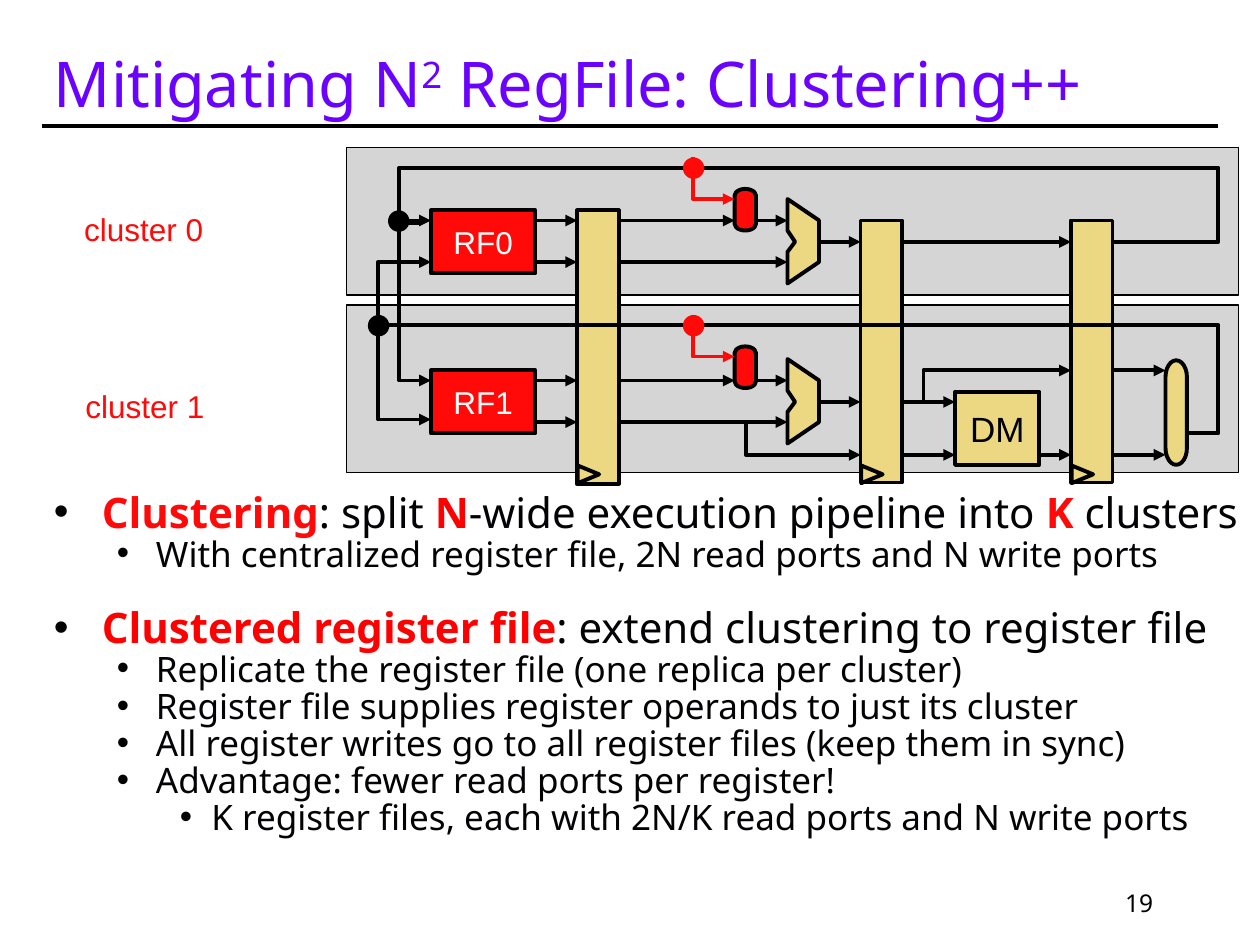
from pptx import Presentation
from pptx.util import Inches, Pt
from pptx.dml.color import RGBColor
from pptx.enum.shapes import MSO_SHAPE as Kind, MSO_CONNECTOR as Conn
from pptx.enum.text import PP_ALIGN as Align, MSO_ANCHOR as Anchor
from pptx.oxml.ns import qn
from lxml.etree import SubElement

deck = Presentation()
deck.slide_width, deck.slide_height = Inches(10), Inches(7.5)
slide = deck.slides.add_slide(deck.slide_layouts[6])
shapes = slide.shapes
BLACK, RED, TAN, GRAY = "000000", "FF0909", "ECD882", "D5D5D5"
INK, SANS = "030305", "Noto Sans"


def paint(shape, fill=None, line=BLACK, width=2.25, arrow=False):
    if hasattr(shape, "fill"):
        if fill:
            shape.fill.solid()
            shape.fill.fore_color.rgb = RGBColor.from_string(fill)
        else:
            shape.fill.background()
    if line:
        shape.line.color.rgb = RGBColor.from_string(line)
        shape.line.width = Pt(width)
    else:
        shape.line.fill.background()
    if arrow:
        SubElement(shape.line._get_or_add_ln(), qn("a:tailEnd"), type="triangle")
    SubElement(shape._element.spPr, qn("a:effectLst"))


def write(para, text, size=18, font="Arial", color=BLACK, bold=False, base=0, align=None):
    run = para.add_run()
    run.text = text
    run.font.size, run.font.name, run.font.bold = Pt(size), font, bold
    run.font.color.rgb = RGBColor.from_string(color)
    if base:
        run.font._element.set("baseline", str(base * 1000))
    if align is not None:
        para.alignment = align


rule = shapes.add_connector(Conn.STRAIGHT, Inches(0.33), Inches(1), Inches(9.67), Inches(1))
paint(rule)

texts = [
    (0.33, 0.25, 8.75, 0.75, Anchor.BOTTOM, True,
     [("Mitigating N", 0), ("2", 30), (" RegFile: Clustering++", 0)],
     dict(size=36, font=SANS, color="6B02FF")),
    (7.17, 7, 2.08, 0.33, Anchor.BOTTOM, True, [("19", 0)],
     dict(size=14, font=SANS, align=Align.RIGHT)),
    (0.57, 1.62, 1.24, 0.4, Anchor.TOP, False, [("cluster 0", 0)], dict(color=RED)),
    (0.58, 3.02, 1.24, 0.4, Anchor.TOP, False, [("cluster 1", 0)], dict(color=RED)),
]
for x, y, w, h, anchor, wrap, runs, style in texts:
    frame = shapes.add_textbox(Inches(x), Inches(y), Inches(w), Inches(h)).text_frame
    frame.word_wrap, frame.vertical_anchor = wrap, anchor
    for text, base in runs:
        write(frame.paragraphs[0], text, base=base, **style)

points = [
    (0, 2, [("Clustering", RED), (": split ", INK), ("N", "FF0000"),
            ("-wide execution pipeline into ", INK), ("K", RED), (" clusters", INK)]),
    (1, 2, [("With centralized register file, 2N read ports and N write ports", INK)]),
    (0, 21.5, [("Clustered register file", "FF0000"),
               (": extend clustering to register file", INK)]),
    (1, 2, [("Replicate the register file (one replica per cluster)", INK)]),
    (1, 2, [("Register file supplies register operands to just its cluster", INK)]),
    (1, 2, [("All register writes go to all register files (keep them in sync)", INK)]),
    (1, 2, [("Advantage: fewer read ports per register!", INK)]),
    (2, 2, [("K register files, each with 2N/K read ports and N write ports", INK)]),
]
dents = [(0.38, 0.38), (0.81, 0.31), (1.25, 0.25)]
body = shapes.add_textbox(Inches(0.33), Inches(3.89), Inches(9.67), Inches(3.08)).text_frame
body.word_wrap = True
for num, (level, gap, runs) in enumerate(points):
    para = body.add_paragraph() if num else body.paragraphs[0]
    para.level, para.line_spacing, para.space_before = level, 0.8, Pt(gap)
    left, hang = dents[level]
    props = para._p.get_or_add_pPr()
    props.set("marL", str(Inches(left)))
    props.set("indent", str(-Inches(hang)))
    tint = SubElement(props, qn("a:buClr"))
    SubElement(tint, qn("a:srgbClr"), val=INK)
    SubElement(props, qn("a:buFont"), typeface="Arial")
    SubElement(props, qn("a:buChar"), char="•")
    for text, color in runs:
        write(para, text, size=20 if level else 24, font=SANS, color=color, bold=color != INK)

rect, pill, tri = Kind.RECTANGLE, Kind.FLOWCHART_TERMINATOR, Kind.ISOSCELES_TRIANGLE
parts = [
    (rect, 2.75, 2.42, 7.08, 1.33, GRAY, 1, 0, ""),
    (rect, 2.75, 1.17, 7.08, 1.17, GRAY, 1, 0, ""),
    (rect, 7.58, 3.11, 0.67, 0.58, TAN, 2.25, 0, "DM"),
    (pill, 8.92, 3.19, 0.83, 0.17, TAN, 2.25, 90, ""),
]
for x, y, h in [(4.58, 1.67, 2.17), (6.83, 1.75, 2.08), (8.5, 1.75, 2.08)]:
    parts.append((rect, x, y, 0.33, h, TAN, 2.25, 0, ""))
    parts.append((tri, x + 0.02, 3.68, 0.14, 0.17, None, 2.25, 90, ""))
for num in range(2):
    parts.append((rect, 3.42, 1.67 + 1.27 * num, 0.83, 0.5, RED, 2.25, 0, f"RF{num}"))
    parts.append((pill, 5.75, 1.58 + 1.25 * num, 0.33, 0.17, RED, 2.25, 90, ""))
for kind, x, y, w, h, fill, width, turn, label in parts:
    part = shapes.add_shape(kind, Inches(x), Inches(y), Inches(w), Inches(h))
    part.rotation = turn
    paint(part, fill, width=width)
    if label:
        frame = part.text_frame
        frame.word_wrap, frame.vertical_anchor = False, Anchor.MIDDLE
        write(frame.paragraphs[0], label, size=20 if label == "DM" else 18,
              color=BLACK if label == "DM" else "FFFFFF", align=Align.CENTER)

wires = [
    ([(7.17, 1.92), (8.5, 1.92)], BLACK, True),
    ([(7.17, 3.19), (7.58, 3.19)], BLACK, True),
    ([(7.17, 3.61), (7.58, 3.61)], BLACK, True),
    ([(8.25, 3.61), (8.5, 3.61)], BLACK, True),
    ([(8.83, 3.61), (9.25, 3.61)], BLACK, True),
    ([(8.83, 2.94), (9.25, 2.94)], BLACK, True),
    ([(5.92, 3.36), (5.92, 3.61), (6.83, 3.61)], BLACK, True),
    ([(7.33, 3.19), (7.33, 2.94), (8.5, 2.94)], BLACK, True),
    ([(9.42, 3.44), (9.67, 3.44), (9.67, 2.58), (3, 2.58), (3, 3.33), (3.42, 3.33)], BLACK, True),
    ([(8.83, 1.92), (9.67, 1.92), (9.67, 1.33), (3.17, 1.33), (3.17, 1.77), (3.33, 1.77)],
     BLACK, False),
    ([(3.17, 1.75), (3.42, 1.75)], BLACK, True),
    ([(3.17, 1.75), (3.17, 3.02), (3.42, 3.02)], BLACK, True),
    ([(3, 2.5), (3, 2.08), (3.42, 2.08)], BLACK, True),
]
muxes = []
for num in range(2):
    top, high, low, mid = [y + 1.27 * num for y in (1.58, 1.75, 2.08, 1.92)]
    spans = [(4.25, 4.58, high), (4.25, 4.58, low), (4.92, 5.83, high),
             (6, 6.25, high), (4.92, 6.25, low), (6.5, 6.83, mid)]
    wires += [([(a, y), (b, y)], BLACK, True) for a, b, y in spans]
    tap = 1.25 * (num + 1)
    wires.append(([(5.5, tap), (5.5, tap + 0.33), (5.83, tap + 0.33)], RED, True))
    muxes.append([(6.25, top), (6.25, top + 0.25), (6.31, mid), (6.25, top + 0.42),
                  (6.25, top + 0.67), (6.5, top + 0.5), (6.5, top + 0.17)])
outlines = [(mux, BLACK, False, TAN) for mux in muxes] + [wire + (None,) for wire in wires]
for route, color, arrow, fill in outlines:
    spots = [(Inches(x), Inches(y)) for x, y in route]
    if len(spots) == 2:
        wire = shapes.add_connector(Conn.STRAIGHT, *spots[0], *spots[1])
    else:
        path = shapes.build_freeform(*spots[0])
        path.add_line_segments(spots[1:], close=bool(fill))
        wire = path.convert_to_shape()
    paint(wire, fill, color, arrow=arrow)

for x, y, fill in [(5.42, 2.5, RED), (3.08, 1.67, BLACK), (5.42, 1.25, RED), (2.92, 2.5, BLACK)]:
    dot = shapes.add_shape(Kind.FLOWCHART_CONNECTOR, Inches(x), Inches(y), Inches(0.17), Inches(0.17))
    paint(dot, fill, None)

deck.save("out.pptx")
